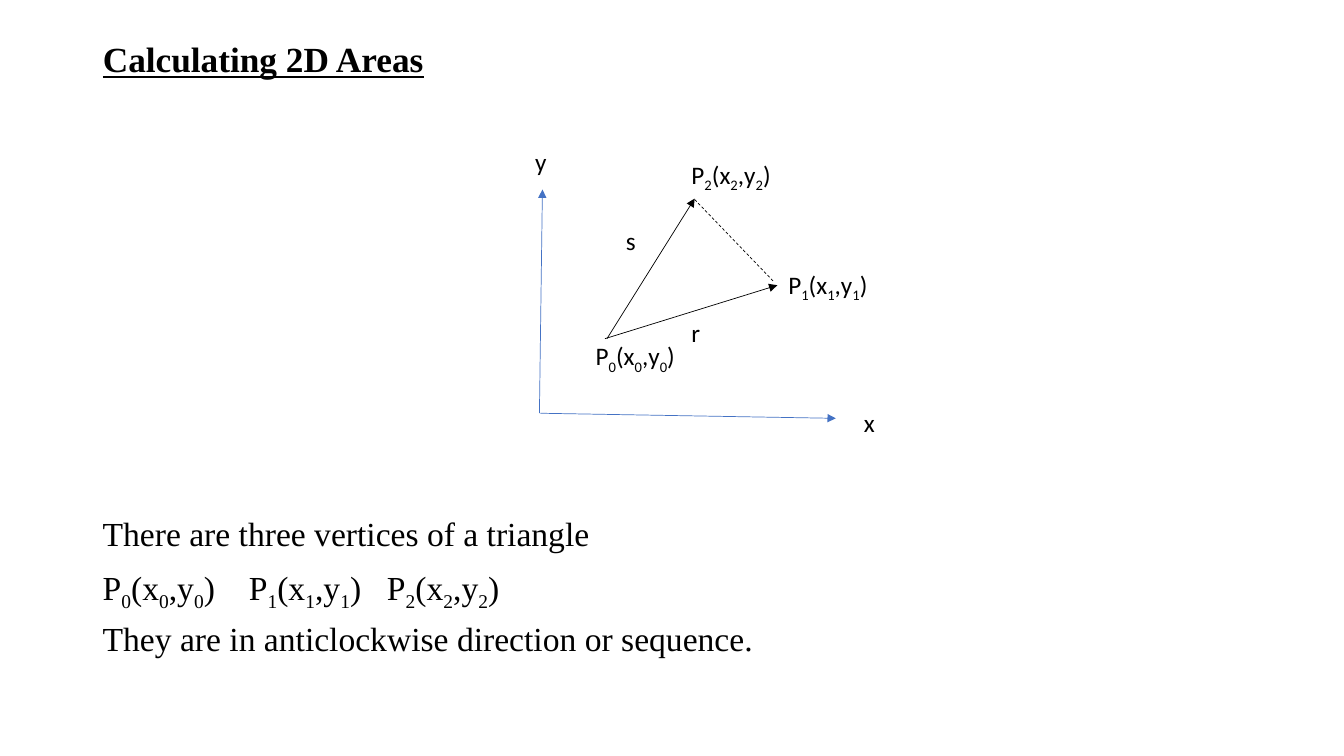
from pptx import Presentation
from pptx.dml.color import RGBColor
from pptx.enum.dml import MSO_LINE
from pptx.enum.shapes import MSO_CONNECTOR
from pptx.enum.text import MSO_ANCHOR, MSO_AUTO_SIZE, PP_ALIGN
from pptx.oxml.ns import qn
from pptx.util import Inches, Pt
from lxml.etree import SubElement

# Content
COLORS = {"text": "000000", "axis": "4472C4"}
SERIF, SANS = "Times New Roman", "Calibri"
TITLE = "Calculating 2D Areas"


def vertex(index):
    """Runs of one vertex name, as (text, is_subscript)."""
    return [(part, sub) for base in ("P", "(x", ",y")
            for part, sub in ((base, False), (index, True))] + [(")", False)]


STATEMENTS = [
    [("There are three vertices of a triangle", False)],
    vertex("0") + [("\t", False)] + vertex("1") + [("\t", False)] + vertex("2"),
    [("They are in anticlockwise direction or sequence.", False)],
]
VERTEX_TABS = (1.45, 2.82)

# start, end, colour, arrow (otherwise dashed)
LINES = [
    ((5.35, 4.1), (5.38, 1.88), "axis", True),
    ((5.36, 4.1), (8.29, 4.15), "axis", True),
    ((6.02, 3.36), (6.89, 1.97), "text", True),
    ((6, 3.36), (7.71, 2.83), "text", True),
    ((6.89, 1.98), (7.68, 2.8), "text", False),
]
# left, top, width, runs
LETTER_WIDTH, VERTEX_WIDTH = 0.43, 1.27
LABELS = [
    (8.47, 3.99, LETTER_WIDTH, [("x", False)]),
    (5.21, 1.4, LETTER_WIDTH, [("y", False)]),
    (6.11, 2.19, LETTER_WIDTH, [("s", False)]),
    (6.76, 3.1, LETTER_WIDTH, [("r", False)]),
    (5.81, 3.33, VERTEX_WIDTH, vertex("0")),
    (7.72, 2.62, VERTEX_WIDTH, vertex("1")),
    (6.76, 1.53, VERTEX_WIDTH, vertex("2")),
]


def color(name):
    return RGBColor.from_string(COLORS[name])


def add_runs(paragraph, runs, font_name, size):
    for text, subscript in runs:
        run = paragraph.add_run()
        run.text = text
        run.font.name = font_name
        run.font.size = Pt(size)
        run.font.color.rgb = color("text")
        if subscript:
            run.font._element.set("baseline", "-25000")


def add_text_box(left, top, width, height):
    box = slide.shapes.add_textbox(Inches(left), Inches(top), Inches(width), Inches(height))
    box.text_frame.word_wrap = True
    return box.text_frame


def add_line(start, end, color_name, arrow):
    line = slide.shapes.add_connector(MSO_CONNECTOR.STRAIGHT, *map(Inches, start + end))
    line.line.color.rgb = color(color_name)
    line.line.width = Pt(0.5)
    if arrow:
        SubElement(line.line._get_or_add_ln(), qn("a:tailEnd"), type="triangle")
    else:
        line.line.dash_style = MSO_LINE.DASH
    SubElement(line._element.spPr, qn("a:effectLst"))


presentation = Presentation()
presentation.slide_width, presentation.slide_height = Inches(13.33), Inches(7.5)
slide = presentation.slides.add_slide(presentation.slide_layouts[5])

# Title
title = slide.shapes.title
title.left, title.top, title.width, title.height = map(Inches, (0.92, 0.4, 11.5, 0.42))
title.text_frame.auto_size = MSO_AUTO_SIZE.NONE
title.text_frame.vertical_anchor = MSO_ANCHOR.MIDDLE
paragraph = title.text_frame.paragraphs[0]
paragraph.alignment = PP_ALIGN.LEFT
paragraph.line_spacing = 0.9
add_runs(paragraph, [(TITLE, False)], SERIF, 25.2)
paragraph.runs[0].font.bold = True
paragraph.runs[0].font.underline = True

# Statements below the diagram
frame = add_text_box(0.92, 5.08, 11.5, 1.6)
for index, runs in enumerate(STATEMENTS):
    paragraph = frame.add_paragraph() if index else frame.paragraphs[0]
    paragraph.line_spacing = 0.9
    paragraph.space_before = Pt(10 if index else 0)
    add_runs(paragraph, runs, SERIF, 24)
tab_list = SubElement(frame.paragraphs[1]._p.get_or_add_pPr(), qn("a:tabLst"))
for position in VERTEX_TABS:
    SubElement(tab_list, qn("a:tab"), pos=str(Inches(position)), algn="l")

# Axes and triangle
for line in LINES:
    add_line(*line)

# Axis, vector and vertex labels
for left, top, width, runs in LABELS:
    frame = add_text_box(left, top, width, 0.4)
    add_runs(frame.paragraphs[0], runs, SANS, 18)

presentation.save("out.pptx")
